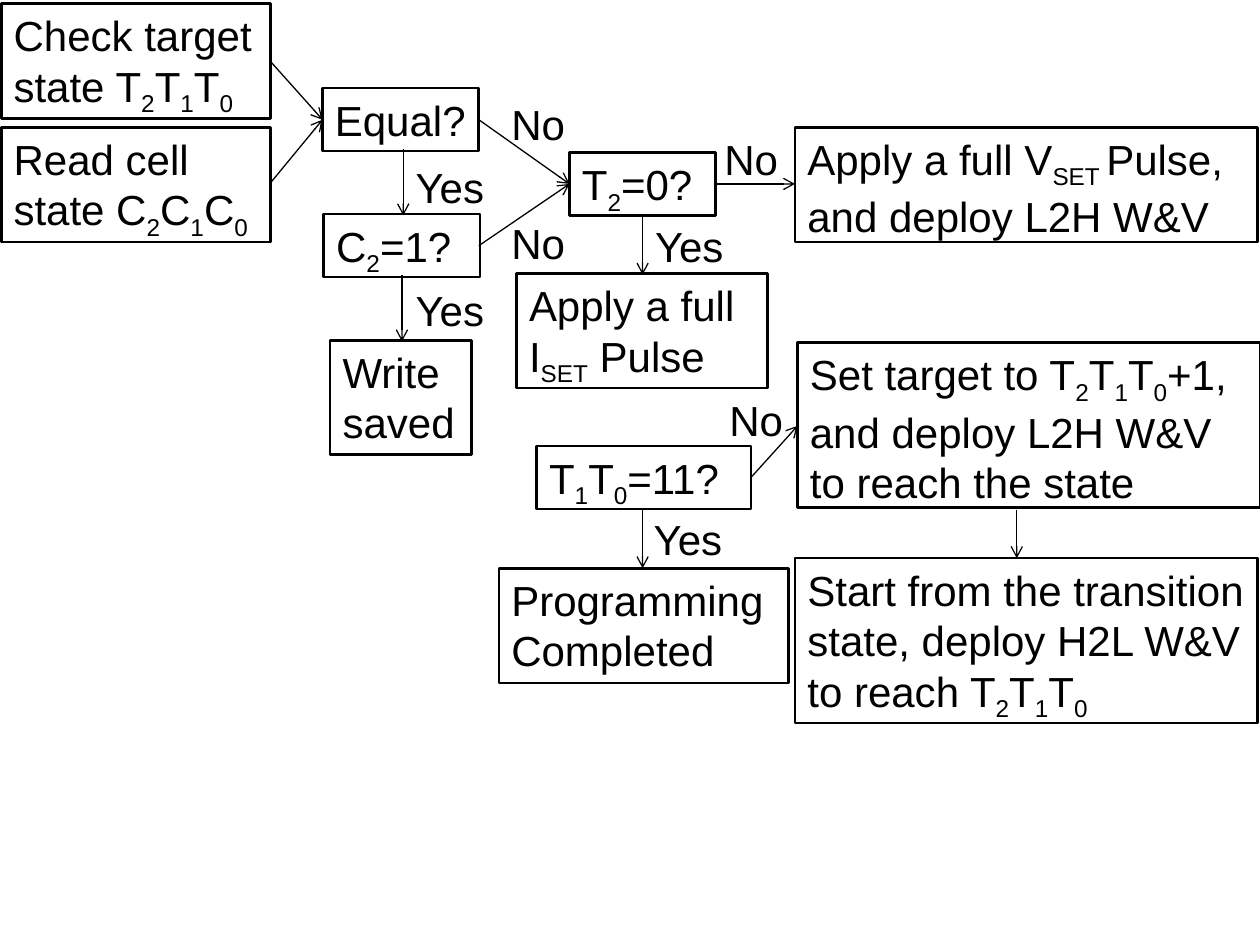
from pptx import Presentation
from pptx.dml.color import RGBColor
from pptx.enum import shapes, text
from pptx.oxml.ns import qn
from pptx.util import Inches, Pt
from lxml import etree

INK = "000000"
ONE, TWO, THREE = 0.5, 0.91, 1.31  # box heights by number of text lines

# Text between underscores is subscript; a new line starts a paragraph.
STEPS = [
    (0.01, 0.03, 2.14, TWO, "Check target state T_2_T_1_T_0_"),
    (0.01, 1.01, 2.14, TWO, "Read cell state C_2_C_1_C_0_"),
    (2.56, 0.7, 1.24, ONE, "Equal?"),
    (2.57, 1.7, 1.24, ONE, "C_2_=1?"),
    (2.62, 2.7, 1.12, TWO, "Write saved"),
    (4.52, 1.21, 1.16, ONE, "T_2_=0?"),
    (4.1, 2.17, 1.99, TWO, "Apply a full I_SET_ Pulse"),
    (6.31, 1.01, 3.67, TWO, "Apply a full V_SET _Pulse, and deploy L2H W&V"),
    (4.26, 3.54, 1.7, ONE, "T_1_T_0_=11?"),
    (3.96, 4.51, 2.3, TWO, "Programming Completed"),
    (6.33, 2.72, 3.67, THREE,
     "Set target to T_2_T_1_T_0_+1,\nand deploy L2H W&V\nto reach the state"),
    (6.31, 4.43, 3.67, THREE,
     "Start from the transition state, deploy H2L W&V to reach T_2_T_1_T_0_"),
]

LABELS = [
    (3.96, 0.73, 0.67, "No"),
    (3.96, 1.68, 0.67, "No"),
    (5.65, 1.01, 0.67, "No"),
    (5.69, 3.08, 0.67, "No"),
    (3.2, 1.23, 0.92, "Yes"),
    (3.2, 2.21, 0.92, "Yes"),
    (5.1, 1.7, 0.82, "Yes"),
    (5.09, 4.03, 1.03, "Yes"),
]

ARROWS = [
    (2.14, 0.48, 2.56, 0.95),
    (2.14, 1.46, 2.56, 0.95),
    (3.8, 0.95, 4.52, 1.46),
    (3.8, 1.95, 4.52, 1.46),
    (5.67, 1.46, 6.31, 1.46),
    (3.2, 1.18, 3.2, 1.71),
    (3.19, 2.18, 3.19, 2.71),
    (5.1, 1.71, 5.1, 2.18),
    (5.1, 4.05, 5.1, 4.51),
    (8.07, 4.05, 8.07, 4.43),
    (5.96, 3.79, 6.33, 3.38),
]


def color(code):
    """Turn a hex string into a colour."""
    return RGBColor.from_string(code)


def style_line(line, width):
    """Give a line its colour and width."""
    line.color.rgb = color(INK)
    line.width = Pt(width)


def fill_para(para, words):
    """Write one paragraph, lowering the parts between underscores."""
    para.font.size = Pt(24)
    para.font.name = "Arial"
    para.font.color.rgb = color(INK)
    for i, part in enumerate(words.split("_")):
        if part:
            run = para.add_run()
            run.text = part
            if i % 2:
                run.font._element.set("baseline", "-25000")


def add_label(slide, left, top, width, words, height=ONE):
    """Add a wrapped text box and return it."""
    box = slide.shapes.add_textbox(*map(Inches, (left, top, width, height)))
    frame = box.text_frame
    frame.word_wrap = True
    frame.auto_size = text.MSO_AUTO_SIZE.SHAPE_TO_FIT_TEXT
    for i, row in enumerate(words.split("\n")):
        fill_para(frame.add_paragraph() if i else frame.paragraphs[0], row)
    return box


def add_step(slide, left, top, width, height, words):
    """Add a framed box of the flow."""
    box = add_label(slide, left, top, width, words, height)
    style_line(box.line, 1.5)


def add_arrow(slide, *ends):
    """Add a thin arrow from the first point to the second."""
    arrow = slide.shapes.add_connector(
        shapes.MSO_CONNECTOR.STRAIGHT, *map(Inches, ends))
    style_line(arrow.line, 0.75)
    etree.SubElement(arrow.line._get_or_add_ln(), qn("a:tailEnd"), type="arrow")
    etree.SubElement(arrow._element.spPr, qn("a:effectLst"))


def main():
    """Build the flow chart and save it."""
    deck = Presentation()
    deck.slide_width, deck.slide_height = Inches(10), Inches(7.5)
    slide = deck.slides.add_slide(deck.slide_layouts[6])
    for step in STEPS:
        add_step(slide, *step)
    for arrow in ARROWS:
        add_arrow(slide, *arrow)
    for label in LABELS:
        add_label(slide, *label)
    deck.save("out.pptx")


main()
